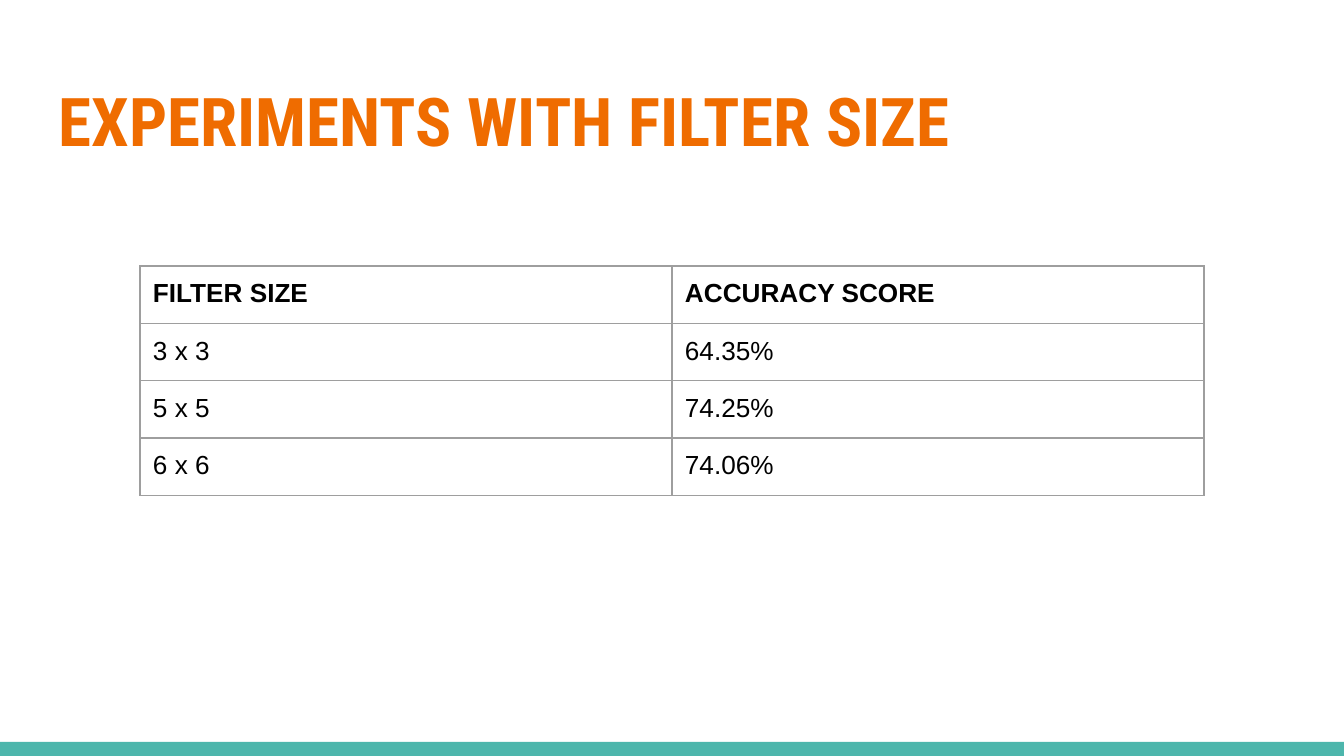
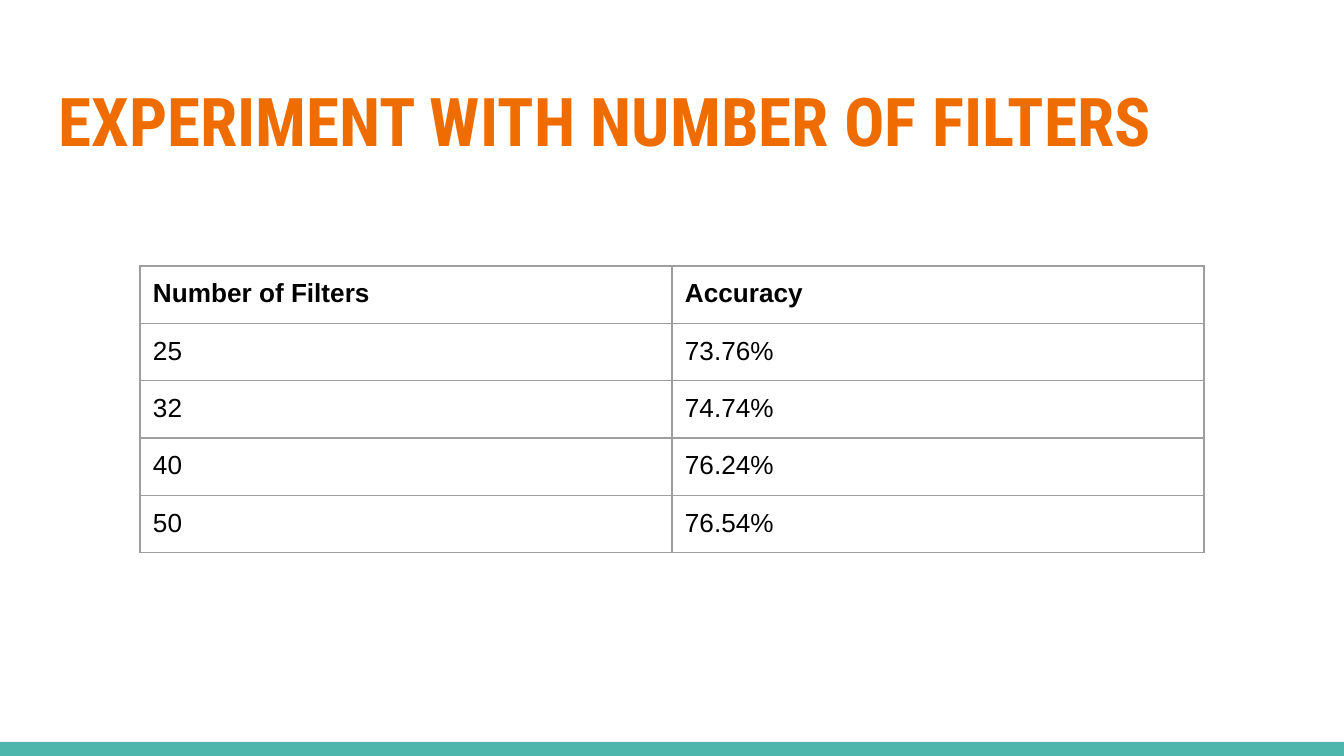
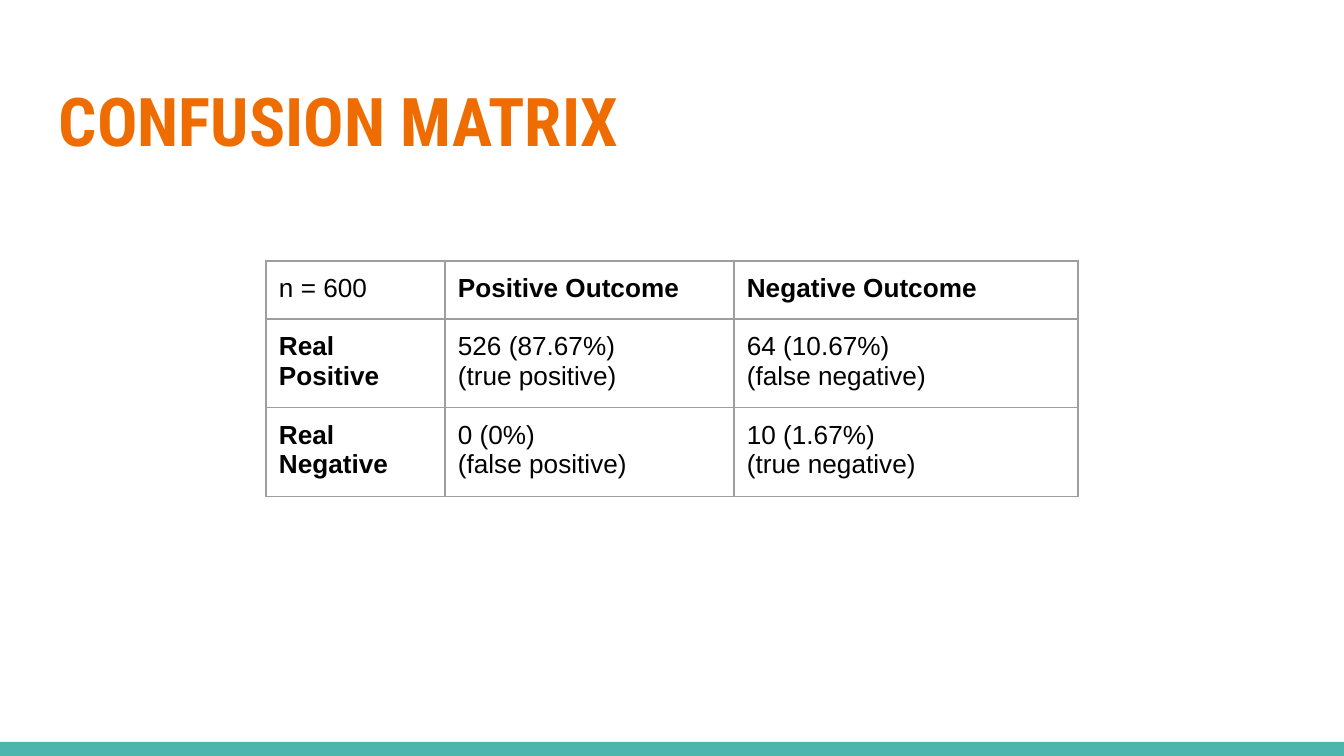
"""Build three result slides, each with a title, a table and a footer band."""
from lxml import etree
from pptx import Presentation
from pptx import util as u
from pptx.dml.color import RGBColor
from pptx.enum import shapes, text
from pptx.oxml import ns

ORANGE, TEAL, GREY, BLACK, WHITE = "EF6C00", "4DB6AC", "9E9E9E", "000000", "FFFFFF"
TITLE_FONT, BODY_FONT = "Roboto Condensed", "Arial"
PAGE_WIDTH, PAGE_HEIGHT, BAND_HEIGHT = 1344, 756, 14
TITLE_BOX = (46, 66, 1253, 103)
INSET = 13

RESULTS = [
    {
        "title": "EXPERIMENTS WITH FILTER SIZE",
        "corner": (140, 266), "columns": (532, 532), "heights": (56,) * 4,
        "row_heads": False,
        "rows": [
            ("FILTER SIZE", "ACCURACY SCORE"),
            ("3 x 3", "64.35%"),
            ("5 x 5", "74.25%"),
            ("6 x 6", "74.06%"),
        ],
    },
    {
        "title": "EXPERIMENT WITH NUMBER OF FILTERS",
        "corner": (140, 266), "columns": (532, 532), "heights": (56,) * 5,
        "row_heads": False,
        "rows": [
            ("Number of Filters", "Accuracy"),
            ("25", "73.76%"),
            ("32", "74.74%"),
            ("40", "76.24%"),
            ("50", "76.54%"),
        ],
    },
    {
        "title": "CONFUSION MATRIX",
        "corner": (266, 261), "columns": (179, 289, 344), "heights": (58, 56, 56),
        "row_heads": True,
        "rows": [
            ("n = 600", "Positive Outcome", "Negative Outcome"),
            ("Real Positive", "526 (87.67%)\n(true positive)", "64 (10.67%)\n(false negative)"),
            ("Real Negative", "0 (0%)\n(false positive)", "10 (1.67%)\n(true negative)"),
        ],
    },
]


def px(length):
    return u.Emu(round(length * 914400 / 134.4))


def color(value):
    return RGBColor.from_string(value)


def style_text(frame, font, size, ink, bold):
    for para in frame.paragraphs:
        for span in para.runs:
            span.font.name = font
            span.font.size = u.Pt(size)
            span.font.color.rgb = color(ink)
            span.font.bold = bold


def set_insets(target):
    target.margin_left = target.margin_right = px(INSET)
    target.margin_top = target.margin_bottom = px(INSET)


def add_band(page):
    band = page.shapes.add_shape(
        shapes.MSO_SHAPE.RECTANGLE, 0, px(PAGE_HEIGHT - BAND_HEIGHT), px(PAGE_WIDTH), px(BAND_HEIGHT))
    band.shadow.inherit = False
    band.fill.solid()
    band.fill.fore_color.rgb = color(TEAL)
    band.line.fill.background()


def add_title(page, title):
    box = page.shapes.add_textbox(*map(px, TITLE_BOX))
    frame = box.text_frame
    frame.word_wrap = True
    frame.vertical_anchor = text.MSO_ANCHOR.TOP
    set_insets(frame)
    frame.text = title
    style_text(frame, TITLE_FONT, 36, ORANGE, True)


def add_borders(cell):
    properties = cell._tc.get_or_add_tcPr()
    for side in ("lnL", "lnR", "lnT", "lnB"):
        line = etree.SubElement(properties, ns.qn(f"a:{side}"), w=str(u.Pt(0.75)))
        fill = etree.SubElement(line, ns.qn("a:solidFill"))
        etree.SubElement(fill, ns.qn("a:srgbClr"), val=GREY)


def add_results(page, result):
    rows, columns, heights = result["rows"], result["columns"], result["heights"]
    left, top = result["corner"]
    table = page.shapes.add_table(
        len(rows), len(columns), px(left), px(top), px(sum(columns)), px(sum(heights))).table
    table.first_row = table.horz_banding = False
    for column, width in zip(table.columns, columns):
        column.width = px(width)
    for row, height in zip(table.rows, heights):
        row.height = px(height)
    for i, row in enumerate(rows):
        for j, words in enumerate(row):
            cell = table.cell(i, j)
            set_insets(cell)
            add_borders(cell)
            cell.fill.background()
            cell.text_frame.text = words
            is_head = (i == 0) != (result["row_heads"] and j == 0)
            style_text(cell.text_frame, BODY_FONT, 14, BLACK, is_head)


def main():
    deck = Presentation()
    deck.slide_width, deck.slide_height = px(PAGE_WIDTH), px(PAGE_HEIGHT)
    for result in RESULTS:
        page = deck.slides.add_slide(deck.slide_layouts[6])
        page.background.fill.solid()
        page.background.fill.fore_color.rgb = color(WHITE)
        add_band(page)
        add_title(page, result["title"])
        add_results(page, result)
    deck.save("out.pptx")


if __name__ == "__main__":
    main()
